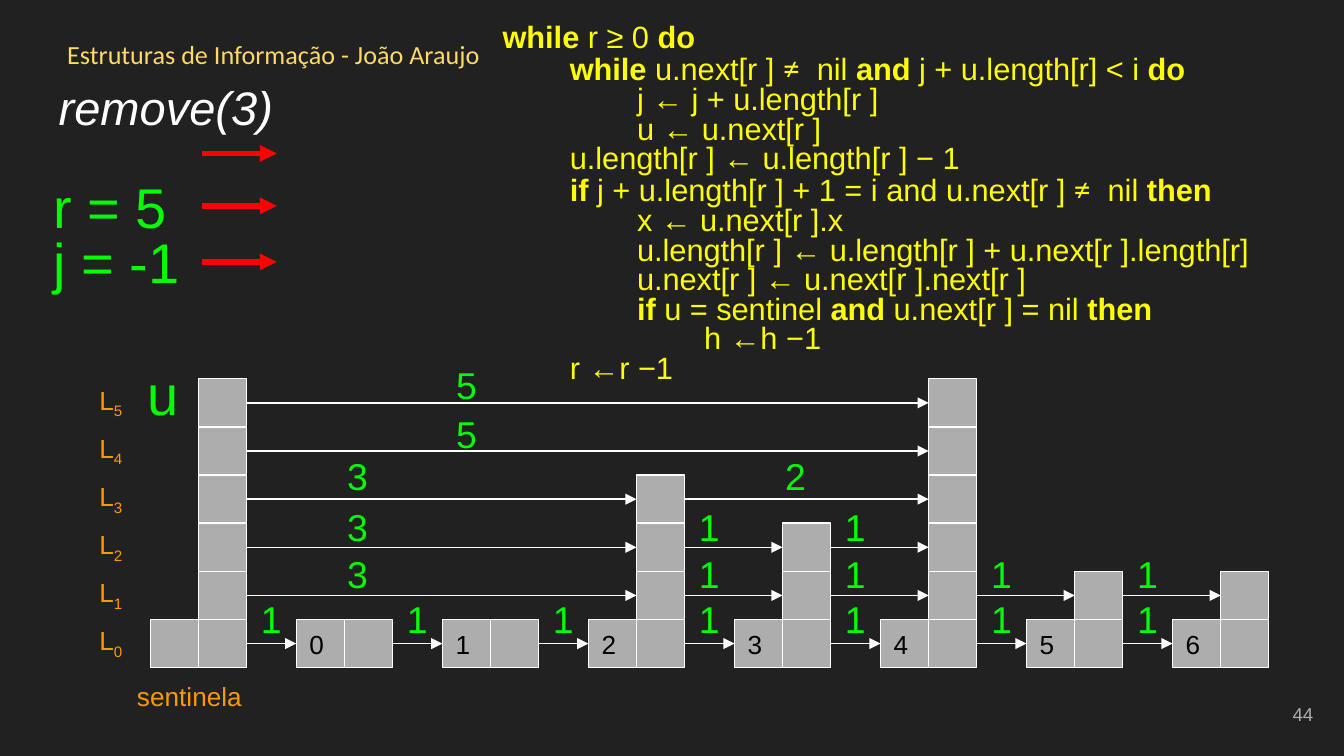
import pptx
import pptx.dml.color
import pptx.enum.shapes
import pptx.enum.text
import pptx.oxml
import pptx.util
from pptx.util import Cm

COLORS = {
    "background": "212121", "header": "FFD966", "white": "FFFFFF",
    "grey": "ADADAD", "black": "000000", "level": "FF9900",
    "value": "00FF00", "code": "FFFF00", "marker": "FF0000",
}

# Skip list geometry, in cm
CELL = 0.91
NODE_X, NODE_STEP = 2.84, 2.76
BASE_Y = 11.71
HEIGHTS = [6, 1, 1, 4, 3, 6, 2, 2]  # the sentinel comes first
LENGTH_Y = [11.02, 10.17, 9.28, 8.31, 7.52, 6.6]  # by level
LENGTH_DX = {1: 0.02, 2: 1.65, 3: 1.65, 5: 3.71}  # by link length

# (indent depth, line); asterisks enclose bold words
CODE = [
    (0, "*while* r ≥ 0 *do*"),
    (1, "*while* u.next[r ] ≠  nil *and* j + u.length[r] < i *do*"),
    (2, "j ← j + u.length[r ]"),
    (2, "u ← u.next[r ]"),
    (1, "u.length[r ] ← u.length[r ] − 1"),
    (1, "*if* j + u.length[r ] + 1 = i and u.next[r ] ≠  nil *then*"),
    (2, "x ← u.next[r ].x"),
    (2, "u.length[r ] ← u.length[r ] + u.next[r ].length[r]"),
    (2, "u.next[r ] ← u.next[r ].next[r ]"),
    (2, "*if* u = sentinel *and* u.next[r ] = nil *then*"),
    (3, "h ←h −1"),
    (1, "r ←r −1"),
]


def rgb(name):
    return pptx.dml.color.RGBColor.from_string(COLORS[name])


class Deck:
    """Holds the text style and the current slide; lengths are in cm."""

    style = {"name": "Arial", "size": 14, "bold": False, "italic": False}

    def __init__(self, slide):
        self.s = slide
        fill = slide.background.fill
        fill.solid()
        fill.fore_color.rgb = rgb("background")

    def run(self, p, text, color, **fmt):
        r = p.add_run()
        r.text = text
        for key, value in {**self.style, **fmt}.items():
            setattr(r.font, key, pptx.util.Pt(value) if key == "size" else value)
        r.font.color.rgb = rgb(color)
        return r

    def frame(self, sp, anchor="TOP"):
        tf = sp.text_frame
        tf.word_wrap = True
        tf.vertical_anchor = getattr(pptx.enum.text.MSO_ANCHOR, anchor)
        for side in ("left", "right", "top", "bottom"):
            setattr(tf, f"margin_{side}", Cm(0.25))
        return tf

    def text(self, x, y, w, h, text, color, anchor="TOP", **fmt):
        """Add a text box and return its first paragraph."""
        sp = self.s.shapes.add_textbox(Cm(x), Cm(y), Cm(w), Cm(h))
        p = self.frame(sp, anchor).paragraphs[0]
        self.run(p, text, color, **fmt)
        return p

    def cell(self, x, y, label=""):
        sp = self.s.shapes.add_shape(
            pptx.enum.shapes.MSO_SHAPE.RECTANGLE, Cm(x), Cm(y), Cm(CELL), Cm(CELL))
        sp.shadow.inherit = False
        sp.fill.solid()
        sp.fill.fore_color.rgb = rgb("grey")
        sp.line.color.rgb = rgb("white")
        sp.line.width = pptx.util.Pt(0.75)
        if label:
            p = self.frame(sp, "MIDDLE").paragraphs[0]
            p.alignment = pptx.enum.text.PP_ALIGN.LEFT
            self.run(p, label, "black")

    def arrow(self, x1, x2, y, color="white", width=0.75):
        c = self.s.shapes.add_connector(
            pptx.enum.shapes.MSO_CONNECTOR.STRAIGHT, Cm(x1), Cm(y), Cm(x2), Cm(y))
        c.line.color.rgb = rgb(color)
        c.line.width = pptx.util.Pt(width)
        ns = pptx.oxml.ns.nsdecls("a")
        c.line._get_or_add_ln().append(
            pptx.oxml.parse_xml(f'<a:tailEnd {ns} type="triangle"/>'))
        c._element.spPr.append(pptx.oxml.parse_xml(f"<a:effectLst {ns}/>"))

    def code(self, x, y, w, h, lines):
        tf = self.frame(self.s.shapes.add_textbox(Cm(x), Cm(y), Cm(w), Cm(h)))
        for n, (depth, line) in enumerate(lines):
            p = tf.add_paragraph() if n else tf.paragraphs[0]
            p.line_spacing = 0.8
            if depth:
                pPr = p._p.get_or_add_pPr()
                pPr.set("marL", str(Cm(1.27 * (depth - 1))))
                pPr.set("indent", str(Cm(1.27)))
            for i, piece in enumerate(line.split("*")):
                before, sign, after = piece.partition("≠")
                for part, fmt in ((before, {"size": 16.5}),
                                  (sign, {"size": 18, "name": "Calibri"}),
                                  (after, {"size": 16.5})):
                    if part:
                        self.run(p, part, "code", bold=i % 2 == 1, **fmt)

    def skip_list(self):
        for n, height in enumerate(HEIGHTS):
            x = NODE_X + n * NODE_STEP
            self.cell(x, BASE_Y, str(n - 1) if n else "")
            for level in range(height):
                self.cell(x + CELL, BASE_Y - level * CELL)
        for n, height in enumerate(HEIGHTS):
            for level in range(height):
                self.link(n, level)

    def link(self, n, level):
        """Join a node to the next one as tall as level, and show the distance."""
        target = next((m for m in range(n + 1, len(HEIGHTS))
                       if HEIGHTS[m] > level), None)
        if target is None:
            return
        start = NODE_X + n * NODE_STEP + 2 * CELL
        end = NODE_X + target * NODE_STEP + (CELL if level else 0)
        self.arrow(start, end, BASE_Y + CELL / 2 - level * CELL)
        length = target - n
        self.text(start + LENGTH_DX[length], LENGTH_Y[level], 1.32, 1.37,
                  str(length), "value", size=20)


def main():
    prs = pptx.Presentation()
    prs.slide_width, prs.slide_height = Cm(25.4), Cm(14.29)
    d = Deck(prs.slides.add_slide(prs.slide_layouts[6]))

    d.text(1.02, 0.48, 20.75, 1.12, "Estruturas de Informação - João Araujo",
           "header", name="Calibri")
    d.text(0.86, 1.24, 23.67, 1.6, "remove(3)", "white", size=25.2, italic=True)
    p = d.text(23.55, 12.95, 1.52, 1.09, "44", "grey", "MIDDLE", size=10)
    p.alignment = pptx.enum.text.PP_ALIGN.RIGHT

    d.skip_list()
    d.text(2.34, 12.62, 2.9, 1.12, "sentinela", "level")
    for level in range(max(HEIGHTS)):
        p = d.text(1.63, 11.56 - level * CELL, 1.17, 1.12, "L", "level")
        r = d.run(p, str(level), "level")
        r._r.get_or_add_rPr().set("baseline", "-25000")

    d.code(9.25, 0.23, 16.38, 7.39, CODE)
    for y in (2.9, 3.89, 4.95):
        d.arrow(3.81, 5.23, y, "marker", 3)
    for x, y, w, text in ((0.76, 3.02, 2.9, "r = 5"),
                          (0.76, 4.06, 2.9, "j = -1"),
                          (2.54, 6.55, 1.17, "u")):
        d.text(x, y, w, 1.8, text, "value", size=30)

    prs.save("out.pptx")


if __name__ == "__main__":
    main()
